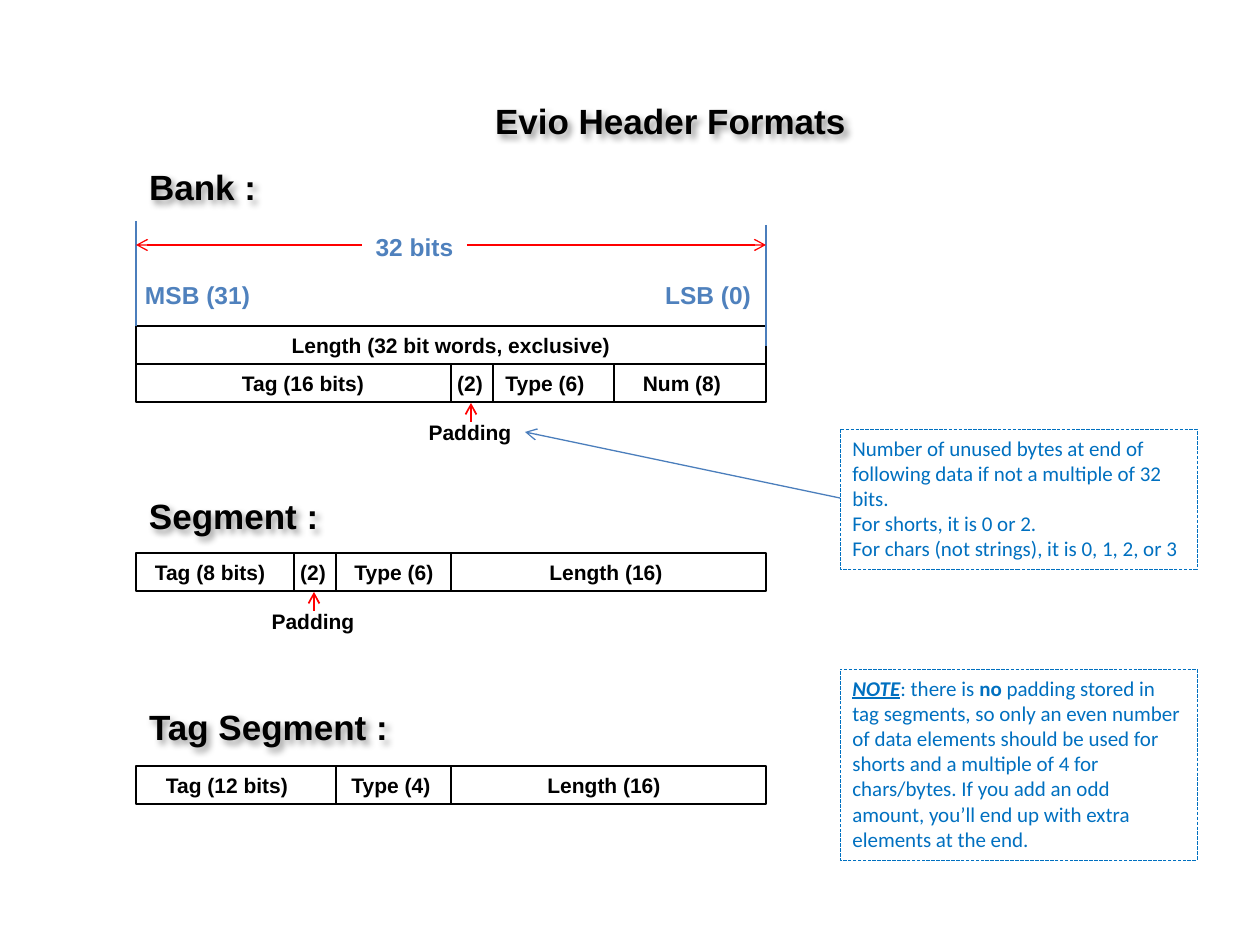
from pptx import Presentation
from pptx.util import Emu, Pt
from pptx.dml.color import RGBColor
from pptx.enum.dml import MSO_LINE as DASH
from pptx.enum.shapes import MSO_SHAPE as SHAPE, MSO_CONNECTOR as LINK
from pptx.enum.text import MSO_ANCHOR as ANCHOR, PP_ALIGN as ALIGN
from pptx.oxml import parse_xml
from pptx.oxml.ns import nsdecls
from lxml.etree import SubElement
from pptx.oxml.ns import qn

PX = 914400 / 126
BLACK = RGBColor(0, 0, 0)
RED = RGBColor(255, 0, 0)
BLUE = RGBColor(0x4F, 0x81, 0xBD)
STEEL = RGBColor(0x4B, 0x7E, 0xBC)
NOTE = RGBColor(0, 0x70, 0xC0)
LEFT, WIDE, HIGH = 136, 630, 38
RIGHT = LEFT + WIDE

deck = Presentation()
deck.slide_width, deck.slide_height = Emu(9144000), Emu(6858000)
slide = deck.slides.add_slide(deck.slide_layouts[6])
shapes = slide.shapes


def link(x1, y1, x2, y2, color, width, arrow=False):
    ends = [Emu(round(v * PX)) for v in (x1, y1, x2, y2)]
    line = shapes.add_connector(LINK.STRAIGHT, *ends)
    line.line.color.rgb = color
    line.line.width = Pt(width)
    SubElement(line._element.spPr, qn("a:effectLst"))
    if arrow:
        SubElement(line.line._get_or_add_ln(), qn("a:tailEnd"), type="arrow")


def label(text, x, y, w, h, size, color=BLACK, align=ALIGN.CENTER):
    box = shapes.add_textbox(*[Emu(round(v * PX)) for v in (x, y, w, h)])
    frame = box.text_frame
    frame.word_wrap = True
    frame.vertical_anchor = ANCHOR.MIDDLE
    frame.margin_left = frame.margin_right = 0
    frame.margin_top = frame.margin_bottom = 0
    para = frame.paragraphs[0]
    para.alignment = align
    run = para.add_run()
    run.text = text
    run.font.name, run.font.size, run.font.bold = "Arial", Pt(size), True
    run.font.color.rgb = color
    return box


heads = [
    ("Evio Header Formats", 495, 93, 370),
    ("Bank :", 149, 159, 130),
    ("Segment :", 149, 488, 200),
    ("Tag Segment :", 149, 699, 270),
]
for text, x, y, w in heads:
    box = label(text, x, y, w, 55, 20, align=ALIGN.LEFT)
    box._element.spPr.append(parse_xml(
        f'<a:effectLst {nsdecls("a")}><a:outerShdw blurRad="50800" dist="38100" '
        'dir="2700000" algn="tl"><a:srgbClr val="000000"><a:alpha val="40000"/>'
        '</a:srgbClr></a:outerShdw></a:effectLst>'))

rows = [
    (326, [], [("Length (32 bit words, exclusive)", 451, 340)]),
    (364, [451, 493, 614], [("Tag (16 bits)", 303, 130), ("(2)", 470, 36),
                            ("Type (6)", 545, 100), ("Num (8)", 682, 100)]),
    (553, [294, 336, 451], [("Tag (8 bits)", 210, 130), ("(2)", 313, 36),
                            ("Type (6)", 394, 100), ("Length (16)", 606, 130)]),
    (766, [336, 451], [("Tag (12 bits)", 227, 130), ("Type (4)", 391, 100),
                       ("Length (16)", 604, 130)]),
]
for top, cuts, names in rows:
    rect = shapes.add_shape(
        SHAPE.RECTANGLE, *[Emu(round(v * PX)) for v in (LEFT, top, WIDE, HIGH)])
    rect.shadow.inherit = False
    rect.fill.background()
    rect.line.color.rgb = BLACK
    rect.line.width = Pt(1.5)
    for x in cuts:
        link(x, top, x, top + HIGH, BLACK, 1.5)
    for text, mid, w in names:
        label(text, mid - w / 2, top, w, HIGH, 12)

for mid, top in [(470, 403), (313, 592)]:
    link(mid + 1, top + 19, mid + 1, top, RED, 1, True)
    label("Padding", mid - 54, top + 10, 108, 38, 12)

link(LEFT, 221, LEFT, 326, STEEL, 0.75)
link(RIGHT, 225, RIGHT, 346, STEEL, 0.75)
link(362, 245, LEFT, 245, RED, 0.75, True)
link(467, 245, RIGHT, 245, RED, 0.75, True)
label("32 bits", 362, 225, 105, 43, 14, BLUE)
label("MSB (31)", 145, 273, 130, 43, 14, BLUE, ALIGN.LEFT)
label("LSB (0)", 621, 273, 130, 43, 14, BLUE, ALIGN.RIGHT)

notes = [
    (429, 140, [
        [("Number of unused bytes at end of following data if not "
          "a multiple of 32 bits.", "")],
        [("For shorts, it is 0 or 2.", "")],
        [("For chars (not strings), it is 0, 1, 2, or 3", "")],
    ]),
    (669, 191, [[
        ("NOTE", "biu"), (": there is ", ""), ("no", "b"),
        (" padding stored in tag segments, so only an even number of data "
         "elements should be used for shorts and a multiple of 4 for "
         "chars/bytes. If you add an odd amount, you’ll end up with extra "
         "elements at the end.", ""),
    ]]),
]
for top, high, paras in notes:
    rect = shapes.add_shape(
        SHAPE.RECTANGLE, *[Emu(round(v * PX)) for v in (840, top, 357, high)])
    rect.shadow.inherit = False
    rect.fill.background()
    rect.line.color.rgb = NOTE
    rect.line.width = Pt(0.25)
    rect.line.dash_style = DASH.LONG_DASH
    frame = rect.text_frame
    frame.word_wrap = True
    frame.vertical_anchor = ANCHOR.TOP
    for i, runs in enumerate(paras):
        para = frame.add_paragraph() if i else frame.paragraphs[0]
        para.alignment = ALIGN.LEFT
        for text, style in runs:
            run = para.add_run()
            run.text = text
            font = run.font
            font.name, font.size = "Calibri", Pt(12)
            font.color.rgb = NOTE
            font.bold = "b" in style
            font.italic = "i" in style
            font.underline = "u" in style

link(840, 498, 525, 432, STEEL, 0.75, True)

deck.save("out.pptx")
